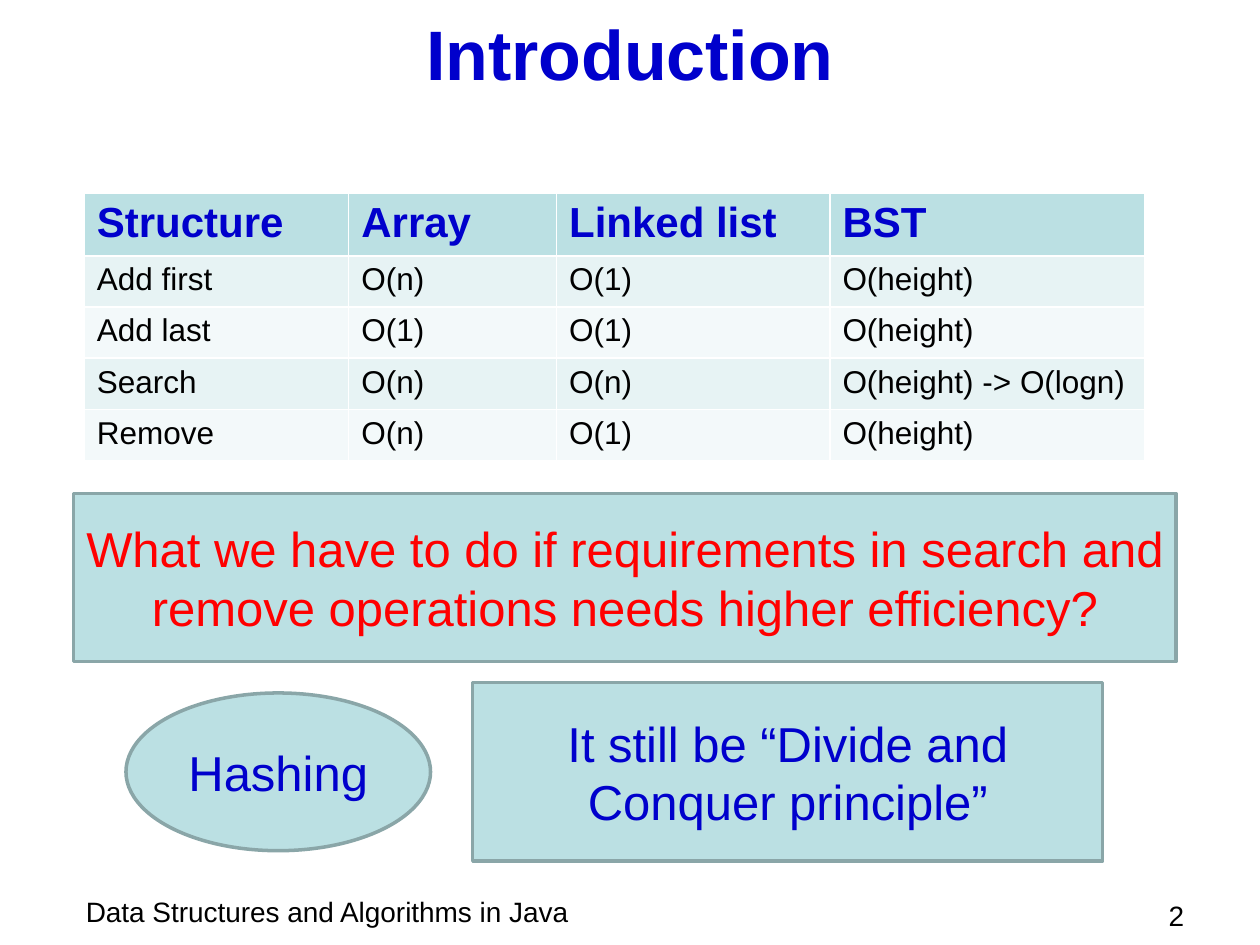
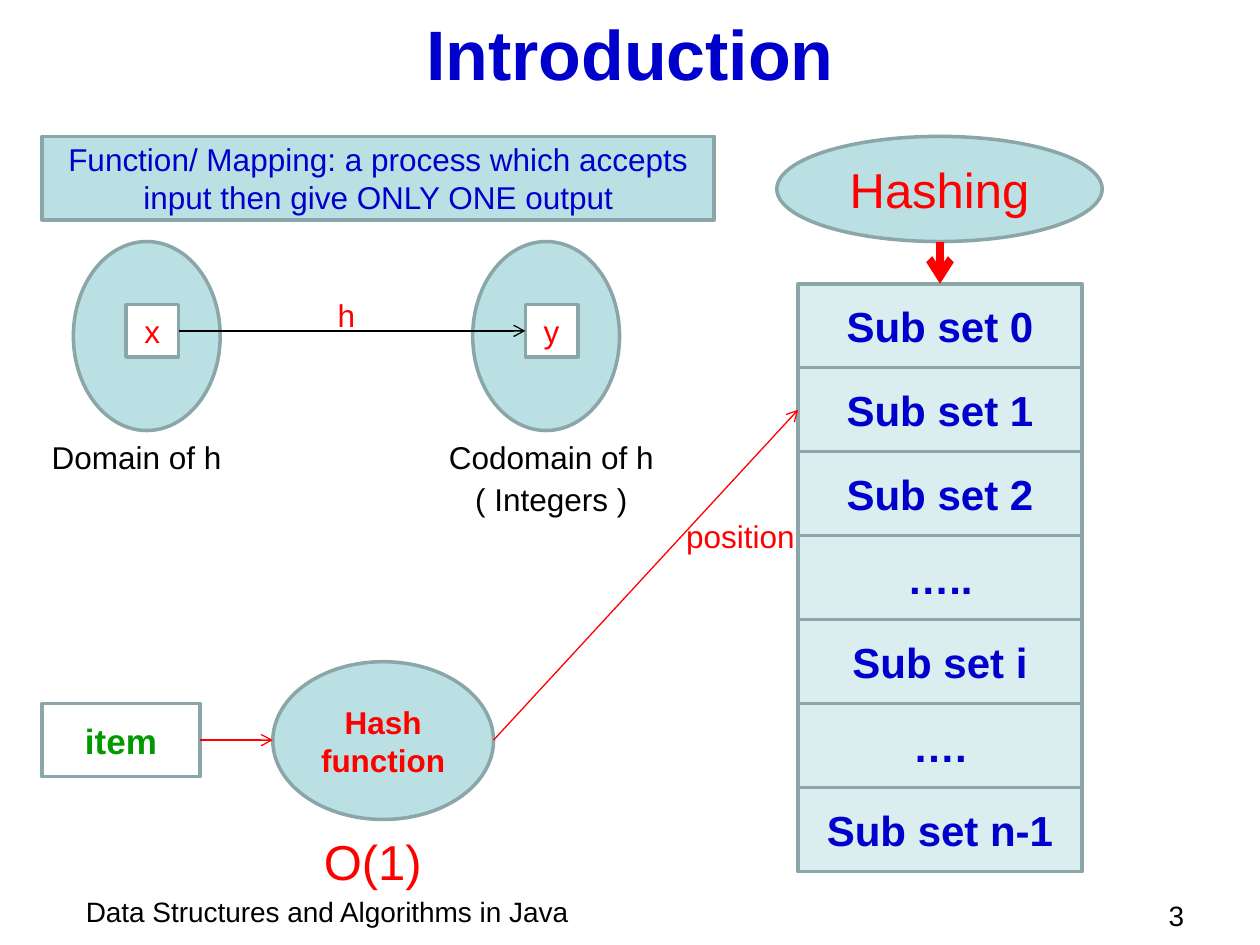
from dataclasses import dataclass

from lxml import etree
from pptx import Presentation
from pptx import util as u
from pptx.dml.color import RGBColor
from pptx.enum import shapes, text
from pptx.oxml import ns


@dataclass(frozen=True)
class Theme:
    font: str = "Arial"
    blue: str = "0000CC"
    red: str = "FF0000"
    green: str = "009900"
    black: str = "000000"
    white: str = "FFFFFF"
    teal: str = "BBE0E3"
    pale: str = "DAEDEF"
    bands: tuple = ("E7F3F4", "F3F9FA")
    edge: str = "8AA6A8"
    title: int = 40
    large: int = 28
    heading: int = 24
    item: int = 20
    body: int = 18
    footer: int = 16


theme = Theme()
RECT = shapes.MSO_SHAPE.RECTANGLE
OVAL = shapes.MSO_SHAPE.OVAL
CENTER = text.PP_ALIGN.CENTER


def place(page, kind, frame, words="", size=theme.body, colour=theme.red, bold=False,
          fill=None, edge=None, align=CENTER, anchor=text.MSO_ANCHOR.MIDDLE):
    lengths = [u.Cm(value) for value in frame]
    if kind is None:
        box = page.shapes.add_textbox(*lengths)
    else:
        box = page.shapes.add_shape(kind, *lengths)
        box.shadow.inherit = False
        if fill:
            box.fill.solid()
            box.fill.fore_color.rgb = RGBColor.from_string(fill)
        else:
            box.fill.background()
        if edge:
            box.line.color.rgb = RGBColor.from_string(edge)
            box.line.width = u.Pt(2)
        else:
            box.line.fill.background()
    body = box.text_frame
    body.word_wrap = True
    body.vertical_anchor = anchor
    if align == CENTER:
        body.margin_left = body.margin_right = u.Cm(0.1)
    if words:
        body.text = words
        for para in body.paragraphs:
            para.alignment = align
            para.font.name = theme.font
            para.font.size = u.Pt(size)
            para.font.bold = bold
            para.font.color.rgb = RGBColor.from_string(colour)
    return box


def arrow(page, start, end, colour, width, source=None, target=None):
    line = page.shapes.add_connector(
        shapes.MSO_CONNECTOR.STRAIGHT, *[u.Cm(value) for value in start + end])
    if source:
        line.begin_connect(*source)
    if target:
        line.end_connect(*target)
    line.line.color.rgb = RGBColor.from_string(colour)
    line.line.width = u.Pt(width)
    outline = line.line._get_or_add_ln()
    etree.SubElement(outline, ns.qn("a:tailEnd"), type="arrow")
    etree.SubElement(line._element.spPr, ns.qn("a:effectLst"))


deck = Presentation()
deck.slide_width, deck.slide_height = u.Cm(25.4), u.Cm(19.05)

pages = []
for number in (2, 3):
    page = deck.slides.add_slide(deck.slide_layouts[5])
    title = page.shapes.title
    title.left, title.top = u.Cm(1.27), u.Cm(0.21)
    title.width, title.height = u.Cm(22.86), u.Cm(1.69)
    title.text_frame.text = "Introduction"
    title.text_frame.vertical_anchor = text.MSO_ANCHOR.MIDDLE
    para = title.text_frame.paragraphs[0]
    para.alignment = CENTER
    para.font.name = theme.font
    para.font.size = u.Pt(theme.title)
    para.font.bold = True
    para.font.color.rgb = RGBColor.from_string(theme.blue)
    for frame, words, align in (
        ((1.48, 17.9, 14.4, 0.94), "Data Structures and Algorithms in Java", text.PP_ALIGN.LEFT),
        ((22.43, 17.98, 1.69, 0.64), str(number), text.PP_ALIGN.RIGHT),
    ):
        place(page, None, frame, words, theme.footer, theme.black,
              align=align, anchor=text.MSO_ANCHOR.TOP)
    pages.append(page)

comparison, mapping = pages

rows = (
    ("Structure", "Array", "Linked list", "BST"),
    ("Add first", "O(n)", "O(1)", "O(height)"),
    ("Add last", "O(1)", "O(1)", "O(height)"),
    ("Search", "O(n)", "O(n)", "O(height) -> O(logn)"),
    ("Remove", "O(n)", "O(1)", "O(height)"),
)
widths = (5.33, 4.19, 5.51, 6.35)
table = comparison.shapes.add_table(
    len(rows), len(widths), u.Cm(1.7), u.Cm(3.89), u.Cm(sum(widths)), u.Cm(5.3)).table
for column, width in zip(table.columns, widths):
    column.width = u.Cm(width)
for index, row in enumerate(rows):
    header = index == 0
    table.rows[index].height = u.Cm(1.18 if header else 1.03)
    for column, words in enumerate(row):
        cell = table.cell(index, column)
        cell.text = words
        cell.fill.solid()
        cell.fill.fore_color.rgb = RGBColor.from_string(
            theme.teal if header else theme.bands[(index - 1) % 2])
        font = cell.text_frame.paragraphs[0].font
        font.name = theme.font
        font.size = u.Pt(theme.heading if header else theme.body)
        font.bold = header
        font.color.rgb = RGBColor.from_string(theme.blue if header else theme.black)

for kind, frame, words, colour in (
    (RECT, (1.48, 9.95, 22.23, 3.39),
     "What we have to do if requirements in search and remove operations needs higher efficiency?",
     theme.red),
    (OVAL, (2.54, 13.97, 6.14, 3.18), "Hashing", theme.blue),
    (RECT, (9.53, 13.76, 12.7, 3.6), "It still be “Divide and Conquer principle”", theme.blue),
):
    place(comparison, kind, frame, words, theme.large, colour, fill=theme.teal, edge=theme.edge)

place(mapping, RECT, (6.56, 5.93, 0.85, 0.85), "h", fill=theme.white)

subset_height = 1.693
subsets = [
    place(mapping, RECT, (16.09, 5.72 + index * subset_height, 5.72, subset_height), words,
          theme.heading, theme.blue, True, theme.pale, theme.edge)
    for index, words in enumerate(
        ("Sub set 0", "Sub set 1", "Sub set 2", "…..", "Sub set i", "….", "Sub set n-1"))
]
place(mapping, OVAL, (15.66, 2.75, 6.56, 2.12), "Hashing", theme.large,
      fill=theme.teal, edge=theme.edge)
arrow(mapping, (18.95, 4.87), (18.95, 5.72), theme.red, 4.5, target=(subsets[0], 0))

item = place(mapping, RECT, (0.85, 14.18, 3.18, 1.48), "item", theme.item, theme.green, True,
             edge=theme.edge)
place(mapping, OVAL, (5.5, 13.34, 4.45, 3.18), "Hash\nfunction", bold=True,
      fill=theme.teal, edge=theme.edge)
place(mapping, None, (13.55, 10.16, 2.75, 1.27), "position")
arrow(mapping, (4.03, 14.92), (5.5, 14.92), theme.red, 0.75, source=(item, 3))
arrow(mapping, (9.95, 14.92), (16.09, 8.26), theme.red, 0.75, target=(subsets[1], 1))
place(mapping, None, (6.14, 16.51, 2.75, 1.69), "O(1)", theme.large)

place(mapping, RECT, (0.85, 2.75, 13.55, 1.69),
      "Function/ Mapping: a process which accepts input then give ONLY ONE output",
      colour=theme.blue, fill=theme.teal, edge=theme.edge)
set_lefts = (1.48, 9.53)
for left in set_lefts:
    place(mapping, OVAL, (left, 4.87, 2.96, 3.81), fill=theme.teal, edge=theme.edge)
argument, value = [
    place(mapping, RECT, (left + 1.06, 6.14, 1.06, 1.06), words,
          fill=theme.white, edge=theme.edge)
    for left, words in zip(set_lefts, "xy")
]
arrow(mapping, (3.6, 6.67), (10.59, 6.67), theme.black, 0.75, (argument, 3), (value, 1))
for frame, words in (
    ((0.64, 8.68, 4.23, 1.06), "Domain of h"),
    ((8.47, 8.68, 5.29, 1.06), "Codomain of h"),
    ((8.47, 9.53, 5.29, 1.06), "( Integers )"),
):
    place(mapping, None, frame, words, colour=theme.black)

deck.save("out.pptx")
